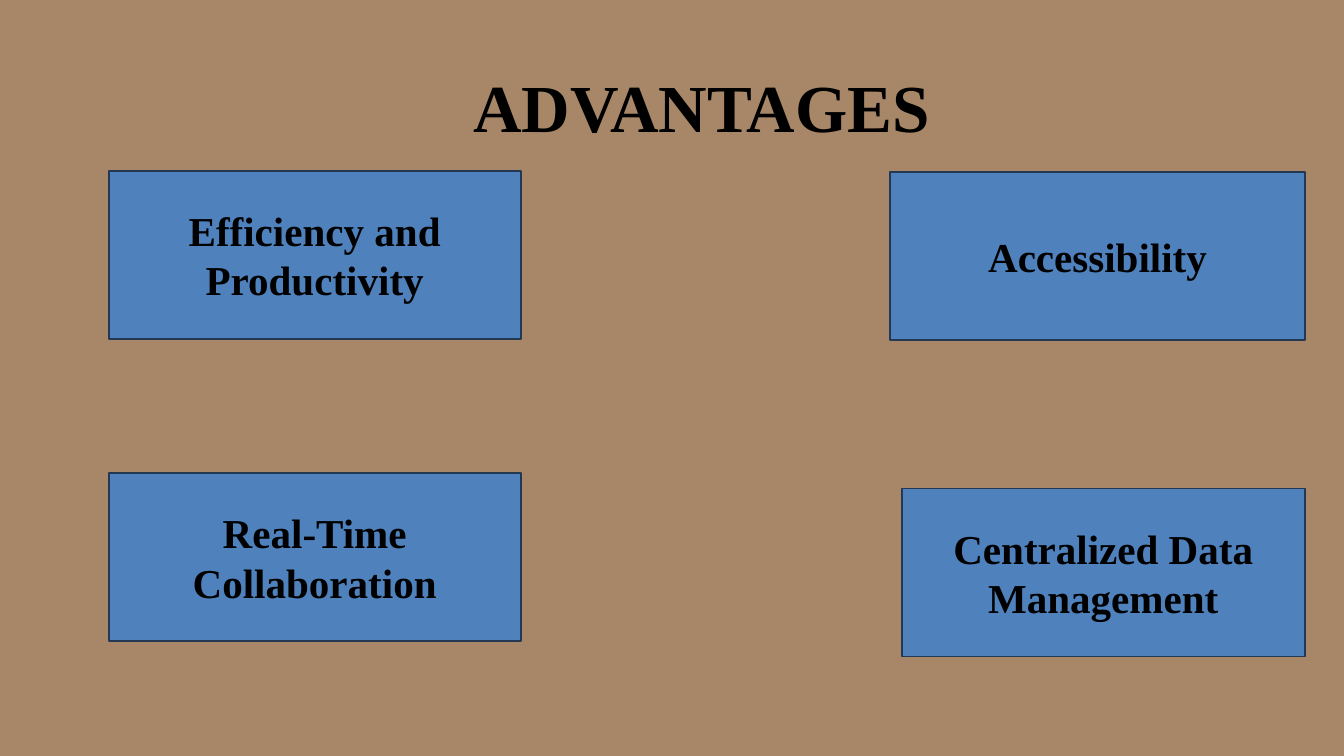
from pptx import Presentation
from pptx import util as u
from pptx.dml.color import RGBColor
from pptx.enum import shapes, text

WIDTH, HEIGHT = 20, 11.25
BACKGROUND, BOX_FILL, BOX_LINE, INK = "A88768", "4F81BD", "233953", "000000"
FONT = "Times New Roman"
BOX_HEIGHT = 2.5
LEFT_COLUMN, LEFT_WIDTH = 1.62, 6.13
RIGHT_EDGE = 19.42

# label, left, top, width
ADVANTAGES = [
    ("Efficiency and Productivity", LEFT_COLUMN, 2.54, LEFT_WIDTH),
    ("Real-Time Collaboration", LEFT_COLUMN, 7.04, LEFT_WIDTH),
    ("Centralized Data Management", RIGHT_EDGE - 6, 7.27, 6),
    ("Accessibility", RIGHT_EDGE - 6.17, 2.56, 6.17),
]


def paint(fill, color):
    fill.solid()
    fill.fore_color.rgb = RGBColor.from_string(color)


def write(shape, words, size, anchor):
    """Put one bold, centred paragraph in the shape."""
    frame = shape.text_frame
    frame.text = words
    frame.word_wrap = True
    frame.vertical_anchor = anchor
    paragraph = frame.paragraphs[0]
    paragraph.alignment = text.PP_ALIGN.CENTER
    font = paragraph.runs[0].font
    font.name, font.size, font.bold = FONT, u.Pt(size), True
    font.color.rgb = RGBColor.from_string(INK)
    return frame


def add_title(slide, words):
    title = slide.shapes.title
    title.left, title.top = u.Inches(5.25), u.Inches(1.2)
    title.width, title.height = u.Inches(10.38), u.Inches(1.01)
    frame = write(title, words, 72, text.MSO_ANCHOR.TOP)
    frame.auto_size = text.MSO_AUTO_SIZE.SHAPE_TO_FIT_TEXT
    frame.margin_left = frame.margin_right = 0
    frame.margin_top = frame.margin_bottom = 0
    frame.paragraphs[0].line_spacing = u.Pt(70.4)
    frame.paragraphs[0].space_before = u.Pt(0)


def add_box(slide, label, left, top, width):
    box = slide.shapes.add_shape(
        shapes.MSO_SHAPE.RECTANGLE,
        u.Inches(left), u.Inches(top), u.Inches(width), u.Inches(BOX_HEIGHT))
    box.shadow.inherit = False
    paint(box.fill, BOX_FILL)
    paint(box.line.fill, BOX_LINE)
    box.line.width = u.Pt(2)
    write(box, label, 44, text.MSO_ANCHOR.MIDDLE)


def main():
    presentation = Presentation()
    presentation.slide_width = u.Inches(WIDTH)
    presentation.slide_height = u.Inches(HEIGHT)
    title_only = presentation.slide_layouts.get_by_name("Title Only")
    slide = presentation.slides.add_slide(title_only)
    paint(slide.background.fill, BACKGROUND)
    add_title(slide, "ADVANTAGES")
    for advantage in ADVANTAGES:
        add_box(slide, *advantage)
    presentation.save("out.pptx")


if __name__ == "__main__":
    main()
